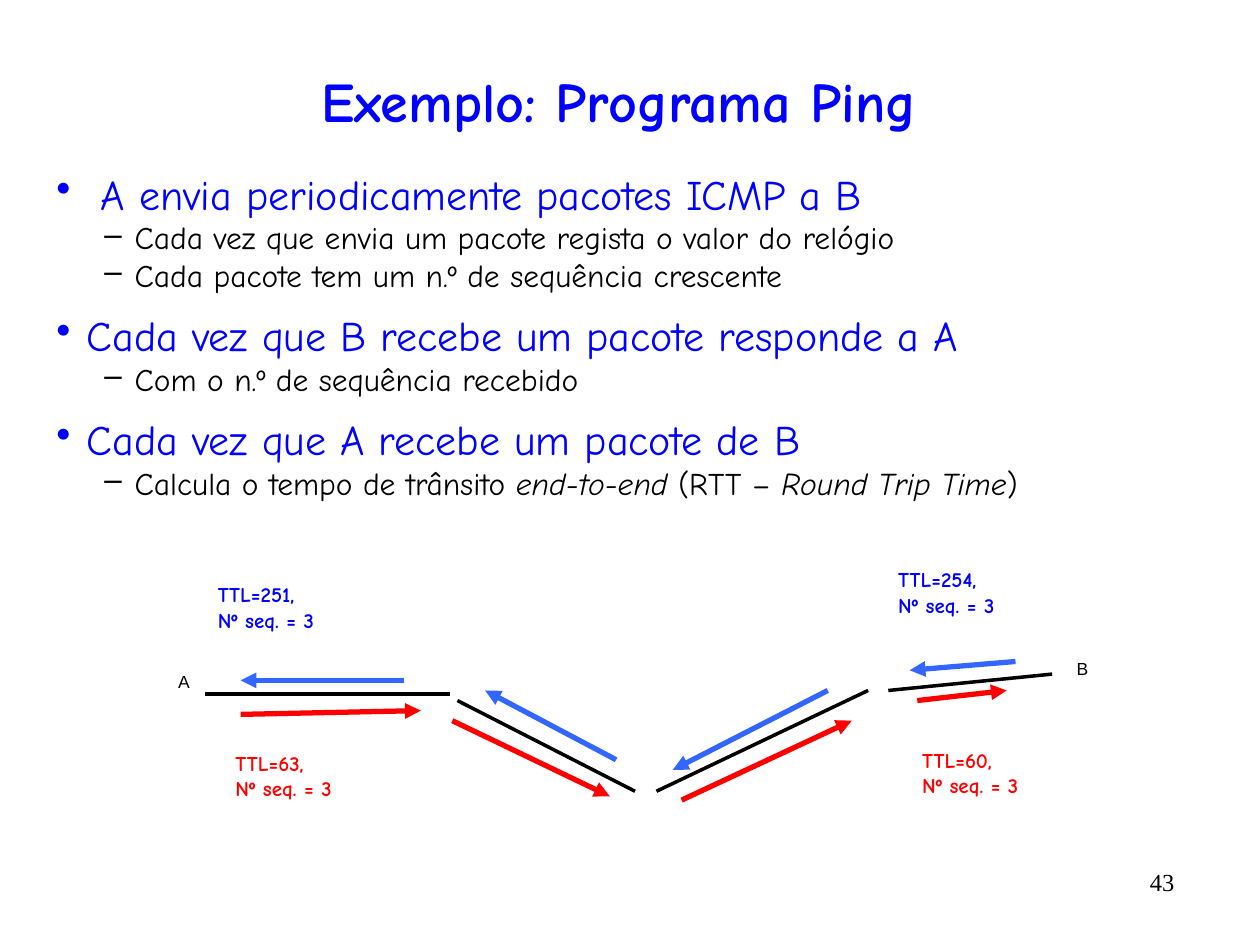
from dataclasses import dataclass
from lxml import etree
from pptx import Presentation
from pptx import util as u
from pptx.dml.color import RGBColor
from pptx.enum import shapes, text
from pptx.oxml import ns

PX = 9144
BLACK = RGBColor(0, 0, 0)
BLUE = RGBColor(0, 0, 255)
SKY = RGBColor(0x33, 0x66, 0xFF)
RED = RGBColor(255, 0, 0)
COMIC = "Comic Neue"
LEFT, MID, RIGHT = text.PP_ALIGN.LEFT, text.PP_ALIGN.CENTER, text.PP_ALIGN.RIGHT


@dataclass
class Box:
    x: int
    y: int
    w: int
    h: int


@dataclass
class Line:
    x1: int
    y1: int
    x2: int
    y2: int


@dataclass
class Style:
    mark: str
    size: int
    color: RGBColor
    indent: int
    before: int


@dataclass
class Item:
    style: Style
    runs: list[str]


@dataclass
class Label:
    x: int
    y: int
    ttl: int
    color: RGBColor


TOPIC = Style("•", 24, BLUE, 24, 12)
POINT = Style("–", 18, BLACK, 62, 2)
ITEMS = [
    Item(TOPIC, [" A envia periodicamente pacotes ICMP a B"]),
    Item(POINT, ["Cada vez que envia um pacote regista o valor do relógio"]),
    Item(POINT, ["Cada pacote tem um n.º de sequência crescente"]),
    Item(TOPIC, ["Cada vez que B recebe um pacote responde a A"]),
    Item(POINT, ["Com o n.º de sequência recebido"]),
    Item(TOPIC, ["Cada vez que A recebe um pacote de B"]),
    Item(POINT, ["Calcula o tempo de trânsito ", "end-to-end ", "(RTT – ",
                 "Round Trip Time", ")"]),
]
LINKS = [Line(705, 548, 835, 535), Line(163, 551, 357, 551),
         Line(521, 628, 689, 548), Line(363, 556, 504, 628)]
SENT = [Line(359, 572, 484, 632), Line(191, 567, 334, 564),
        Line(541, 635, 676, 572), Line(728, 556, 799, 548)]
BACK = [Line(806, 525, 722, 532), Line(657, 548, 534, 611),
        Line(489, 603, 385, 548), Line(321, 540, 191, 540)]
LABELS = [Label(177, 591, 63, RED), Label(163, 457, 251, BLUE),
          Label(722, 588, 60, RED), Label(703, 445, 254, BLUE)]


def frame(slide, box: Box, middle: bool = False):
    shape = slide.shapes.add_textbox(box.x * PX, box.y * PX, box.w * PX, box.h * PX)
    body = shape.text_frame
    body.word_wrap = True
    body.vertical_anchor = text.MSO_ANCHOR.MIDDLE if middle else text.MSO_ANCHOR.TOP
    return body


def add_run(para, words: str, size: int, color: RGBColor, font: str = COMIC,
            bold: bool = False, italic: bool = False) -> None:
    run = para.add_run()
    run.text = words
    run.font.name = font
    run.font.size = u.Pt(size)
    run.font.color.rgb = color
    run.font.bold = bold
    run.font.italic = italic


def write(slide, box: Box, words: str, align=LEFT, middle: bool = False, **form) -> None:
    body = frame(slide, box, middle)
    for i, row in enumerate(words.split("\n")):
        para = body.paragraphs[0] if i == 0 else body.add_paragraph()
        para.alignment = align
        add_run(para, row, **form)


def bullet(para, style: Style) -> None:
    props = para._p.get_or_add_pPr()
    props.set("marL", str(style.indent * PX))
    props.set("indent", str(-24 * PX))
    tint = etree.SubElement(props, ns.qn("a:buClr"))
    etree.SubElement(tint, ns.qn("a:srgbClr"), val=str(style.color))
    etree.SubElement(props, ns.qn("a:buChar"), char=style.mark)


def outline(slide, box: Box, items: list[Item]) -> None:
    body = frame(slide, box)
    for i, item in enumerate(items):
        style = item.style
        para = body.paragraphs[0] if i == 0 else body.add_paragraph()
        bullet(para, style)
        para.level = 1 if style is POINT else 0
        para.line_spacing = 0.9
        para.space_before = u.Pt(style.before if i else 0)
        for j, words in enumerate(item.runs):
            add_run(para, words, style.size, style.color, italic=j % 2 == 1)


def draw(slide, line: Line, color: RGBColor, width: int, arrow: bool) -> None:
    link = slide.shapes.add_connector(
        shapes.MSO_CONNECTOR.STRAIGHT,
        line.x1 * PX, line.y1 * PX, line.x2 * PX, line.y2 * PX)
    link.line.color.rgb = color
    link.line.width = u.Pt(width)
    if arrow:
        etree.SubElement(link.line._get_or_add_ln(), ns.qn("a:tailEnd"), type="triangle")
    etree.SubElement(link._element.spPr, ns.qn("a:effectLst"))


def main() -> None:
    deck = Presentation()
    deck.slide_width, deck.slide_height = 1000 * PX, 750 * PX
    slide = deck.slides.add_slide(deck.slide_layouts[6])

    write(slide, Box(33, 42, 917, 75), "Exemplo: Programa Ping", align=MID,
          middle=True, size=32, color=BLUE, bold=True)
    outline(slide, Box(35, 133, 940, 307), ITEMS)
    for lines, color, width, arrow in ((LINKS, BLACK, 2, False),
                                       (SENT, RED, 3, True), (BACK, SKY, 3, True)):
        for line in lines:
            draw(slide, line, color, width, arrow)
    for tag in LABELS:
        write(slide, Box(tag.x, tag.y, 121, 64), f"TTL={tag.ttl},\nNº seq. = 3",
              size=12, color=tag.color, bold=True)
    for name, x, y in (("A", 127, 518), ("B", 840, 508)):
        write(slide, Box(x, y, 38, 45), name, align=MID, middle=True,
              size=10, color=BLACK, font="Arial")
    write(slide, Box(842, 683, 100, 42), "43", align=RIGHT,
          size=14, color=BLACK, font="Times New Roman")
    deck.save("out.pptx")


if __name__ == "__main__":
    main()
